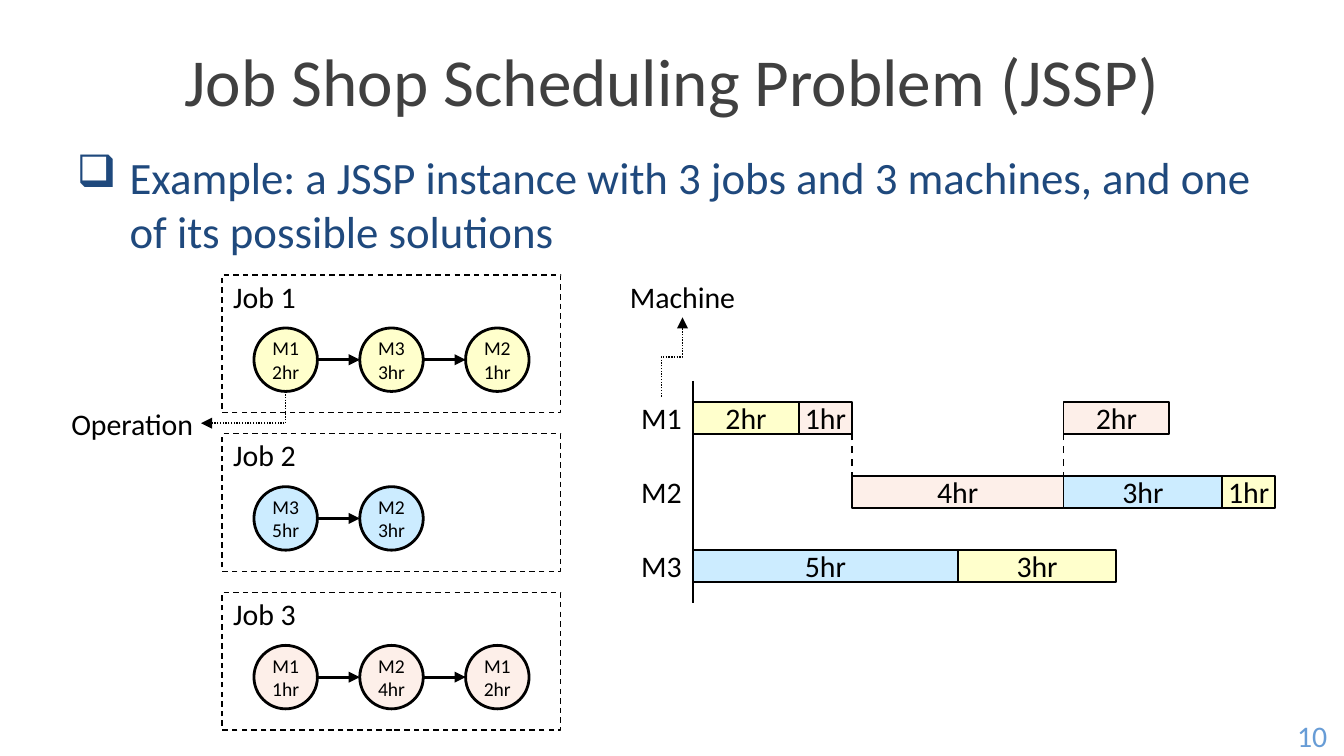
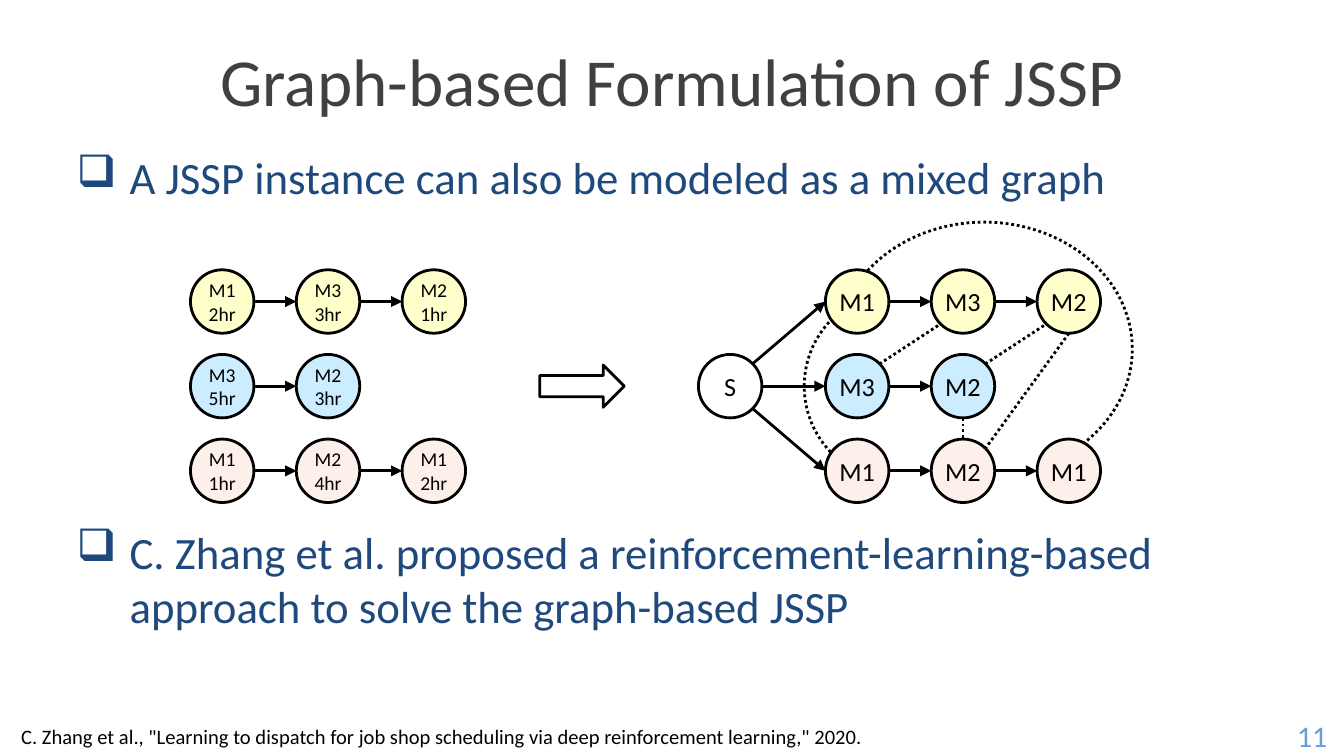
from lxml import etree
from pptx import Presentation
from pptx.dml.color import RGBColor
from pptx.enum.dml import MSO_LINE
from pptx.enum.shapes import MSO_CONNECTOR, MSO_SHAPE
from pptx.enum.text import MSO_ANCHOR, PP_ALIGN
from pptx.oxml.ns import qn
from pptx.util import Pt

PX = 3600
FONT = "Calibri"
BLACK, WHITE = "000000", "FFFFFF"
YELLOW, BLUE, PINK = "FFFFCC", "CCECFF", "FDEFE9"
TITLE_COLOR, BODY_COLOR, NUMBER_COLOR = "404040", "1F497D", "679CD6"
RECTANGLE, OVAL = MSO_SHAPE.RECTANGLE, MSO_SHAPE.OVAL
ARC, RIGHT_ARROW = MSO_SHAPE.ARC, MSO_SHAPE.RIGHT_ARROW
STRAIGHT, ELBOW = MSO_CONNECTOR.STRAIGHT, MSO_CONNECTOR.ELBOW
DASH, DOT = MSO_LINE.DASH, MSO_LINE.ROUND_DOT
LEFT, CENTER = PP_ALIGN.LEFT, PP_ALIGN.CENTER
TOP, MIDDLE = MSO_ANCHOR.TOP, MSO_ANCHOR.MIDDLE


def add_box(slide, place, text="", size=16, color=BLACK, kind=None, fill=None,
            line=1, dash=None, align=CENTER, anchor=MIDDLE, inset=(0, 0)):
    lengths = [value * PX for value in place]
    if kind is None:
        shape = slide.shapes.add_textbox(*lengths)
    else:
        shape = slide.shapes.add_shape(kind, *lengths)
        shape.shadow.inherit = False
        shape.line.color.rgb = RGBColor.from_string(BLACK)
        shape.line.width = Pt(line)
        if dash:
            shape.line.dash_style = dash
        if fill:
            shape.fill.solid()
            shape.fill.fore_color.rgb = RGBColor.from_string(fill)
        else:
            shape.fill.background()
    if text:
        frame = shape.text_frame
        frame.text = text
        frame.word_wrap = True
        frame.vertical_anchor = anchor
        frame.margin_left = frame.margin_right = inset[0] * PX
        frame.margin_top = frame.margin_bottom = inset[1] * PX
        for paragraph in frame.paragraphs:
            paragraph.alignment = align
            for run in paragraph.runs:
                run.font.name = FONT
                run.font.size = Pt(size)
                run.font.color.rgb = RGBColor.from_string(color)
    return shape


def connect(slide, begin, end, kind=STRAIGHT, width=1.5, dash=None, arrow=False):
    connector = slide.shapes.add_connector(kind, *[value * PX for value in begin + end])
    connector.line.color.rgb = RGBColor.from_string(BLACK)
    connector.line.width = Pt(width)
    if dash:
        connector.line.dash_style = dash
    if arrow:
        line = connector.line._get_or_add_ln()
        etree.SubElement(line, qn("a:tailEnd"), type="triangle")
    etree.SubElement(connector._element.spPr, qn("a:effectLst"))
    return connector


presentation = Presentation()
presentation.slide_width = 2540 * PX
presentation.slide_height = 1429 * PX

pages = [
    (10, "Job Shop Scheduling Problem (JSSP)",
     ["Example: a JSSP instance with 3 jobs and 3 machines, and one of its possible solutions"]),
    (11, "Graph-based Formulation of JSSP",
     ["A JSSP instance can also be modeled as a mixed graph",
      "C. Zhang et al. proposed a reinforcement-learning-based approach to solve the graph-based JSSP"]),
]
slides = []
for number, title, bullets in pages:
    slide = presentation.slides.add_slide(presentation.slide_layouts[6])
    slides.append(slide)
    add_box(slide, (120, 60, 2300, 180), title, 36, TITLE_COLOR, inset=(25, 13))
    body = add_box(slide, (120, 270, 2300, 1080), "\n".join(bullets), 24, BODY_COLOR,
                   align=LEFT, anchor=TOP, inset=(25, 13))
    for index, paragraph in enumerate(body.text_frame.paragraphs):
        if index:
            paragraph.space_before = Pt(172)
        properties = paragraph._p.get_or_add_pPr()
        properties.set("marL", str(100 * PX))
        properties.set("indent", str(-100 * PX))
        etree.SubElement(properties, qn("a:buChar"), char="❑")
    add_box(slide, (2420, 1350, 120, 79), str(number), 16, NUMBER_COLOR, inset=(25, 13))
schedule_slide, graph_slide = slides

AXIS_X, HOUR, BAR_HEIGHT = 1310, 100, 60
connect(schedule_slide, (AXIS_X, 720), (AXIS_X, 1140), width=1)
machines = [
    ("M1", [(0, 2, YELLOW), (2, 1, PINK), (7, 2, PINK)]),
    ("M2", [(3, 4, PINK), (7, 3, BLUE), (10, 1, YELLOW)]),
    ("M3", [(0, 5, BLUE), (5, 3, YELLOW)]),
]
for row, (machine, tasks) in enumerate(machines):
    bar_top = 760 + 140 * row
    add_box(schedule_slide, (1200, bar_top - 10, 100, 80), machine)
    for start, hours, fill in tasks:
        add_box(schedule_slide, (AXIS_X + start * HOUR, bar_top, hours * HOUR, BAR_HEIGHT),
                f"{hours}hr", kind=RECTANGLE, fill=fill)
for hour in (3, 7):
    hour_x = AXIS_X + hour * HOUR
    connect(schedule_slide, (hour_x, 930), (hour_x, 790), width=1, dash=DASH)

add_box(schedule_slide, (1180, 520, 220, 80), "Machine")
add_box(schedule_slide, (120, 760, 260, 80), "Operation")
callouts = [
    ((1345, 695), (1195, 655), "bentConnector3"),
    ((430, 690), (490, 850), "bentConnector2"),
]
for begin, end, preset in callouts:
    callout = connect(schedule_slide, begin, end, ELBOW, 0.75, DOT, arrow=True)
    properties = callout._element.spPr
    properties.find(qn("a:xfrm")).set("rot", "5400000")
    properties.find(qn("a:prstGeom")).set("prst", preset)

NODE, NODE_STEP = 120, 200
jobs = [
    (YELLOW, [("M1", 2), ("M3", 3), ("M2", 1)]),
    (BLUE, [("M3", 5), ("M2", 3)]),
    (PINK, [("M1", 1), ("M2", 4), ("M1", 2)]),
]
networks = [
    (schedule_slide, 480, 620, 300, True),
    (graph_slide, 360, 510, 160, True),
    (graph_slide, 1560, 510, 160, False),
]
for slide, left, top, row_step, show_hours in networks:
    for row, (fill, operations) in enumerate(jobs):
        node_top = top + row * row_step
        center_y = node_top + NODE // 2
        for column, (machine, hours) in enumerate(operations):
            node_left = left + column * NODE_STEP
            add_box(slide, (node_left, node_top, NODE, NODE),
                    f"{machine}\n{hours}hr" if show_hours else machine,
                    10.5 if show_hours else 14, kind=OVAL, fill=fill, line=1.5)
            if column:
                connect(slide, (node_left - NODE_STEP + NODE, center_y),
                        (node_left, center_y), arrow=True)

for row in range(len(jobs)):
    frame_top = 520 + 300 * row
    add_box(schedule_slide, (420, frame_top, 640, 260), kind=RECTANGLE, line=0.75, dash=DASH)
    add_box(schedule_slide, (420, frame_top, 160, 80), f"Job {row + 1}")

add_box(graph_slide, (1320, 670, NODE, NODE), "S", 14, kind=OVAL, fill=WHITE, line=1.5)
for begin, end in [((1422, 688), (1560, 570)), ((1440, 730), (1560, 730)),
                   ((1422, 772), (1560, 890))]:
    connect(graph_slide, begin, end, arrow=True)
for begin, end in [((1862, 688), (1978, 612)), ((1820, 790), (1820, 830)),
                   ((2020, 630), (1862, 848)), ((1662, 688), (1778, 612))]:
    connect(graph_slide, begin, end, dash=DOT)
for place, rotation, start, finish in [((1520, 550, 360, 360), 270, 135.76, 187.7),
                                       ((1580, 420, 560, 480), 0, 128.37, 26.02)]:
    arc = add_box(graph_slide, place, kind=ARC, line=1.5, dash=DOT)
    arc.rotation = rotation
    arc.adjustments[0] = start
    arc.adjustments[1] = finish

add_box(graph_slide, (1020, 690, 160, 80), kind=RIGHT_ARROW, line=1.5)
add_box(graph_slide, (40, 1367, 2260, 48),
        'C. Zhang et al., "Learning to dispatch for job shop scheduling via deep '
        'reinforcement learning," 2020.', 11, align=LEFT)

presentation.save("out.pptx")
